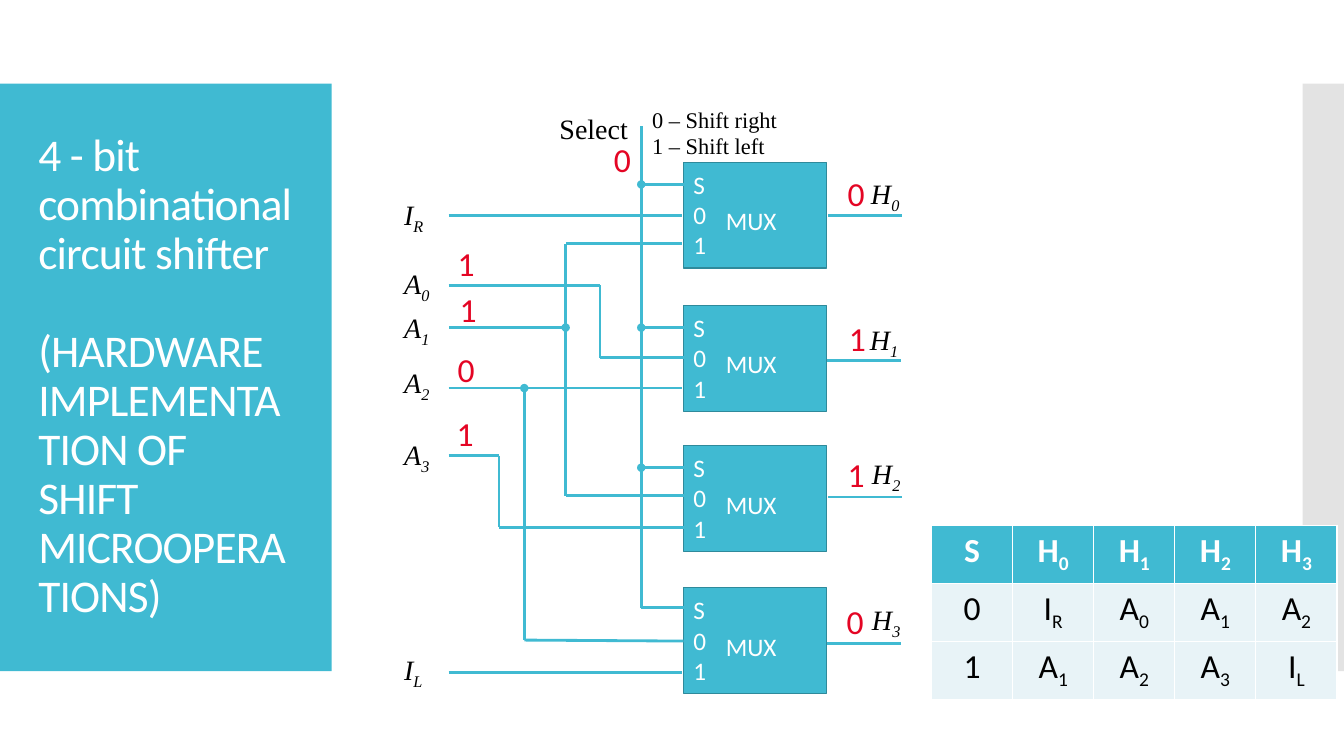
from itertools import pairwise

from lxml.etree import SubElement
from pptx import Presentation
from pptx.dml.color import RGBColor
from pptx.enum.shapes import MSO_CONNECTOR, MSO_SHAPE
from pptx.enum.text import MSO_ANCHOR, MSO_AUTO_SIZE, PP_ALIGN
from pptx.oxml.ns import qn
from pptx.util import Inches, Pt

TEAL, DARK_TEAL, PALE, GREY = "40BAD2", "2F8A9B", "E8F3F7", "C8C8C8"
WHITE, BLACK, RED = "FFFFFF", "000000", "E40524"
SANS, SERIF = "Calibri", "Times New Roman"

TITLE = ("4 - bit combinational circuit shifter\n"
         "(HARDWARE IMPLEMENTATION OF\vSHIFT MICROOPERATIONS)")
MUX_TOPS = [1.61, 3.03, 4.42, 5.83]
MUX_LEFT, WIRE_LEFT, SELECT_X = 6.78, 4.45, 6.36

# Each wire is a route of corner points
WIRES = [
    [(SELECT_X, 1.25), (SELECT_X, 6.03), (MUX_LEFT, 6.03)],
    [(WIRE_LEFT, 2.83), (5.95, 2.83), (5.95, 3.55), (MUX_LEFT, 3.55)],
    [(6.76, 2.42), (5.61, 2.42), (5.61, 4.92), (MUX_LEFT, 4.92)],
    [(WIRE_LEFT, 3.85), (6.76, 3.85)],
    [(WIRE_LEFT, 4.52), (4.95, 4.52), (4.95, 5.23), (MUX_LEFT, 5.23)],
    [(WIRE_LEFT, 2.14), (6.76, 2.14)],
    [(WIRE_LEFT, 6.67), (6.76, 6.67)],
]
# These start at a junction dot
BRANCHES = [
    [(SELECT_X, 1.83), (MUX_LEFT, 1.83)],
    [(SELECT_X, 3.25), (MUX_LEFT, 3.25)],
    [(SELECT_X, 4.64), (MUX_LEFT, 4.64)],
    [(5.61, 3.25), (WIRE_LEFT, 3.25)],
    [(5.2, 3.85), (5.2, 6.35), (MUX_LEFT, 6.36)],
]
OUTPUT_WIRES = [(8.21, 2.14), (8.2, 3.58), (8.21, 4.93), (8.2, 6.38)]

SIGNALS = [
    ("I_R", 3.91, 1.91), ("A_0", 3.91, 2.59), ("A_1", 3.91, 3.03),
    ("A_2", 3.91, 3.58), ("A_3", 3.91, 4.29), ("I_L", 3.91, 6.42),
    ("H_0", 8.54, 1.7), ("H_1", 8.53, 3.15), ("H_2", 8.55, 4.48), ("H_3", 8.55, 5.93),
]
BITS = [
    ("0", 5.99, 1.33), ("1", 4.44, 2.36), ("1", 4.46, 2.82), ("0", 4.44, 3.41),
    ("1", 4.43, 4.05), ("0", 8.31, 1.67), ("1", 8.32, 3.1), ("1", 8.31, 4.45),
    ("0", 8.3, 5.91),
]
FUNCTION_TABLE = [
    ["S", "H_0", "H_1", "H_2", "H_3"],
    ["0", "I_R", "A_0", "A_1", "A_2"],
    ["1", "A_1", "A_2", "A_3", "I_L"],
]


def color(value):
    return RGBColor.from_string(value)


def write_text(frame, text, size, font=SANS, fill=BLACK, align=PP_ALIGN.LEFT,
               bold=False, italic=False, line_spacing=None, gap=0, tracking=None):
    """Newlines part paragraphs, \\v breaks a line, and X_n sets n as a subscript."""
    for index, content in enumerate(text.split("\n")):
        paragraph = frame.add_paragraph() if index else frame.paragraphs[0]
        paragraph.alignment = align
        paragraph.space_before = Pt(gap if index else 0)
        if line_spacing:
            paragraph.line_spacing = line_spacing
        for line_number, line in enumerate(content.split("\v")):
            if line_number:
                paragraph.add_line_break()
            for part_number, part in enumerate(line.split("_")):
                run = paragraph.add_run()
                run.text = part
                run.font.name, run.font.size = font, Pt(size)
                run.font.bold, run.font.italic = bold, italic
                run.font.color.rgb = color(fill)
                properties = run.font._element
                if part_number:
                    properties.set("baseline", "-25000")
                if tracking:
                    properties.set("spc", str(tracking))


def add_label(slide, text, left, top, width, height, wrap=False, **text_format):
    frame = slide.shapes.add_textbox(
        Inches(left), Inches(top), Inches(width), Inches(height)).text_frame
    frame.word_wrap = wrap
    write_text(frame, text, **text_format)


def add_box(slide, left, top, width, height, fill, outline=None, alpha=None):
    box = slide.shapes.add_shape(MSO_SHAPE.RECTANGLE, Inches(left), Inches(top),
                                 Inches(width), Inches(height))
    box.shadow.inherit = False
    box.fill.solid()
    box.fill.fore_color.rgb = color(fill)
    if alpha:
        srgb = next(box.element.spPr.iter(qn("a:srgbClr")))
        SubElement(srgb, qn("a:alpha")).set("val", str(alpha * 1000))
    if outline:
        box.line.color.rgb = color(outline)
        box.line.width = Pt(0.85)
    else:
        box.line.fill.background()


def add_wire(slide, points, dot=False):
    for index, (start, end) in enumerate(pairwise(points)):
        wire = slide.shapes.add_connector(
            MSO_CONNECTOR.STRAIGHT, *(Inches(value) for value in start + end))
        wire.line.color.rgb = color(TEAL)
        wire.line.width = Pt(2)
        if dot and index == 0:
            SubElement(wire.line._get_or_add_ln(), qn("a:headEnd")).set("type", "oval")
        SubElement(wire.element.spPr, qn("a:effectLst"))


def add_mux(slide, top):
    add_box(slide, MUX_LEFT, top, 1.42, 1.05, TEAL, DARK_TEAL)
    text_format = dict(wrap=True, size=18, fill=WHITE, align=PP_ALIGN.CENTER)
    add_label(slide, "S\n0\n1", MUX_LEFT, top + 0.02, 0.27, 1.01, **text_format)
    add_label(slide, "MUX", MUX_LEFT - 0.04, top + 0.38, 1.42, 0.42, **text_format)


def add_function_table(slide):
    rows, columns = len(FUNCTION_TABLE), len(FUNCTION_TABLE[0])
    table = slide.shapes.add_table(rows, columns, Inches(9.24), Inches(5.21),
                                   Inches(4.02), Inches(1.73)).table
    for row_number, row in enumerate(FUNCTION_TABLE):
        header = row_number == 0
        for column_number, text in enumerate(row):
            cell = table.cell(row_number, column_number)
            cell.fill.solid()
            cell.fill.fore_color.rgb = color(TEAL if header else PALE)
            write_text(cell.text_frame, text, 24, align=PP_ALIGN.CENTER,
                       fill=WHITE if header else BLACK, bold=header)


def format_title(slide):
    title = slide.shapes.title
    slide.shapes.element.append(title.element)  # in front of the teal panel
    title.left, title.top = Inches(0.28), Inches(1.23)
    title.width, title.height = Inches(2.74), Inches(5.03)
    frame = title.text_frame
    frame.word_wrap = True
    frame.auto_size = MSO_AUTO_SIZE.NONE
    frame.vertical_anchor = MSO_ANCHOR.MIDDLE
    write_text(frame, TITLE, 32.4, fill=WHITE, line_spacing=0.9, gap=35, tracking=-60)


def main():
    presentation = Presentation()
    presentation.slide_width, presentation.slide_height = Inches(13.33), Inches(7.5)
    slide = presentation.slides.add_slide(presentation.slide_layouts[5])

    add_box(slide, 0, 0.83, 3.29, 5.83, TEAL)
    add_box(slide, 12.92, 0.83, 0.41, 5.83, GREY, alpha=50)
    format_title(slide)

    for top in MUX_TOPS:
        add_mux(slide, top)
    for points in WIRES:
        add_wire(slide, points)
    for points in BRANCHES:
        add_wire(slide, points, dot=True)
    for left, y in OUTPUT_WIRES:
        add_wire(slide, [(left, y), (left + 0.74, y)])

    for text, left, top in SIGNALS:
        add_label(slide, text, left, top, 0.49, 0.44, size=20, font=SERIF, italic=True)
    add_label(slide, "Select", 5.45, 1.06, 0.91, 0.44, size=20, font=SERIF)
    add_label(slide, "0 – Shift right\n1 – Shift left", 6.37, 1, 1.49, 0.64,
              size=16, font=SERIF)
    add_function_table(slide)
    for text, left, top in BITS:
        add_label(slide, text, left, top, 0.36, 0.5, size=24, fill=RED)

    presentation.save("out.pptx")


if __name__ == "__main__":
    main()
